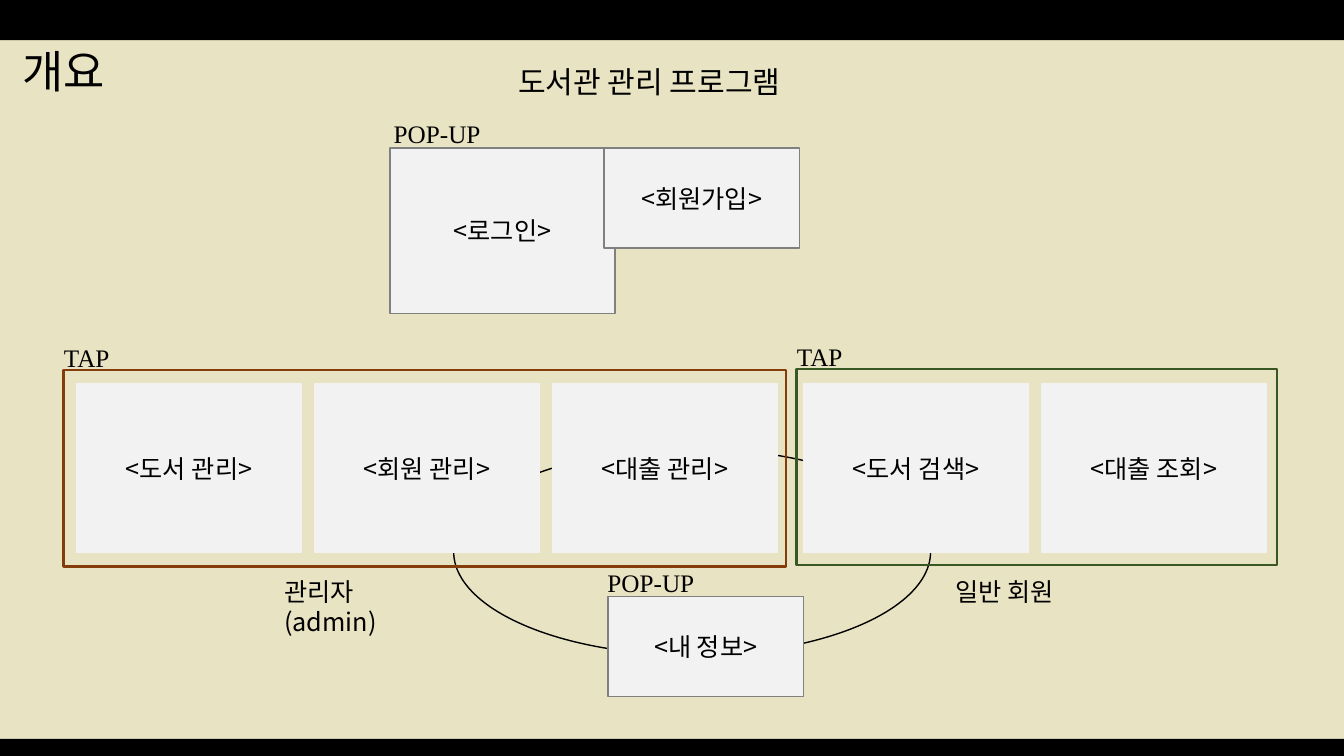
import pptx
import pptx.dml.color
import pptx.enum.shapes
import pptx.enum.text
import pptx.oxml.ns
import pptx.util
from lxml import etree

Inches = pptx.util.Inches
RGBColor = pptx.dml.color.RGBColor
ALIGN = pptx.enum.text.PP_ALIGN
ANCHOR = pptx.enum.text.MSO_ANCHOR
SHAPE = pptx.enum.shapes.MSO_SHAPE

BLACK = RGBColor(0x00, 0x00, 0x00)
CREAM = RGBColor(0xE8, 0xE3, 0xC2)
PALE = RGBColor(0xF2, 0xF2, 0xF2)
GRAY = RGBColor(0x80, 0x80, 0x80)
BROWN = RGBColor(0x84, 0x3C, 0x0B)
GREEN = RGBColor(0x38, 0x57, 0x23)

KOREAN = "Noto Sans CJK KR"
SERIF = "Times New Roman"
SLIDE_W, SLIDE_H = 13.33, 7.5
CARD_W, CARD_H, CARD_PITCH = 2.23, 1.67, 2.36
CARD_TOP = 3.81
CAPTION_TOP = 5.67


def write(frame, text, size=18, font=KOREAN, align=ALIGN.CENTER,
          anchor=ANCHOR.MIDDLE, spacing=None):
    frame.word_wrap = True
    frame.vertical_anchor = anchor
    frame.text = text
    paragraph = frame.paragraphs[0]
    paragraph.alignment = align
    if spacing:
        paragraph.line_spacing = spacing
    for run in paragraph.runs:
        run.font.size = pptx.util.Pt(size)
        run.font.name = font
        run.font.color.rgb = BLACK
        east_asian = etree.SubElement(run.font._element, pptx.oxml.ns.qn("a:ea"))
        east_asian.set("typeface", font)


def add_text(slide, left, top, width, height, text, **style):
    box = slide.shapes.add_textbox(
        Inches(left), Inches(top), Inches(width), Inches(height))
    write(box.text_frame, text, **style)


def add_block(slide, left, top, width, height, fill=None, line=None,
              weight=1, text=None, kind=SHAPE.RECTANGLE):
    block = slide.shapes.add_shape(
        kind, Inches(left), Inches(top), Inches(width), Inches(height))
    block.shadow.inherit = False
    if fill is None:
        block.fill.background()
    else:
        block.fill.solid()
        block.fill.fore_color.rgb = fill
    if line is None:
        block.line.fill.background()
    else:
        block.line.color.rgb = line
        block.line.width = pptx.util.Pt(weight)
    if text:
        write(block.text_frame, text)


def draw_backdrop(slide):
    slide.background.fill.solid()
    slide.background.fill.fore_color.rgb = CREAM
    add_block(slide, 0, 0, SLIDE_W, 0.4, fill=BLACK)
    add_block(slide, 0, 7.33, SLIDE_W, 0.17, fill=BLACK)


def draw_headings(slide):
    add_text(slide, 0.12, 0.34, 1.51, 0.78, "개요", size=32,
             align=ALIGN.LEFT, spacing=0.9)
    add_text(slide, 4.43, 0.58, 4.02, 0.46, "도서관 관리 프로그램",
             size=21.5, anchor=ANCHOR.TOP)


def draw_popup(slide, left, top, width, height, text, label_shift=None):
    add_block(slide, left, top, width, height, PALE, GRAY, text=text)
    if label_shift is not None:
        add_text(slide, left + label_shift, top - 0.28, 1.11, 0.27,
                 "POP-UP", font=SERIF)


def draw_tab_group(slide, left, top, width, height, color, cards, card_inset,
                   caption, caption_shift, caption_width):
    for index, card in enumerate(cards):
        add_block(slide, left + card_inset + index * CARD_PITCH, CARD_TOP,
                  CARD_W, CARD_H, PALE, PALE, text=card)
    add_block(slide, left, top, width, height, line=color, weight=1.5)
    add_text(slide, left - 0.1, top - 0.26, 0.66, 0.27, "TAP", font=SERIF)
    add_text(slide, left + caption_shift, CAPTION_TOP, caption_width, 0.4,
             caption, align=ALIGN.LEFT, anchor=ANCHOR.TOP)


def main():
    deck = pptx.Presentation()
    deck.slide_width = Inches(SLIDE_W)
    deck.slide_height = Inches(SLIDE_H)
    slide = deck.slides.add_slide(deck.slide_layouts[6])

    draw_backdrop(slide)
    draw_headings(slide)
    draw_popup(slide, 3.87, 1.47, 2.23, 1.64, "<로그인>", label_shift=-0.09)
    draw_popup(slide, 5.99, 1.47, 1.94, 0.99, "<회원가입>")
    add_block(slide, 4.5, 4.45, 4.73, 2.05, line=BLACK, kind=SHAPE.OVAL)
    draw_popup(slide, 6.03, 5.92, 1.94, 0.99, "<내 정보>", label_shift=-0.13)
    draw_tab_group(slide, 0.63, 3.67, 7.17, 1.95, BROWN,
                   ["<도서 관리>", "<회원 관리>", "<대출 관리>"], 0.13,
                   "관리자\v(admin)", 2.09, 1.83)
    draw_tab_group(slide, 7.9, 3.66, 4.77, 1.95, GREEN,
                   ["<도서 검색>", "<대출 조회>"], 0.07,
                   "일반 회원", 1.48, 1.3)
    deck.save("out.pptx")


if __name__ == "__main__":
    main()
